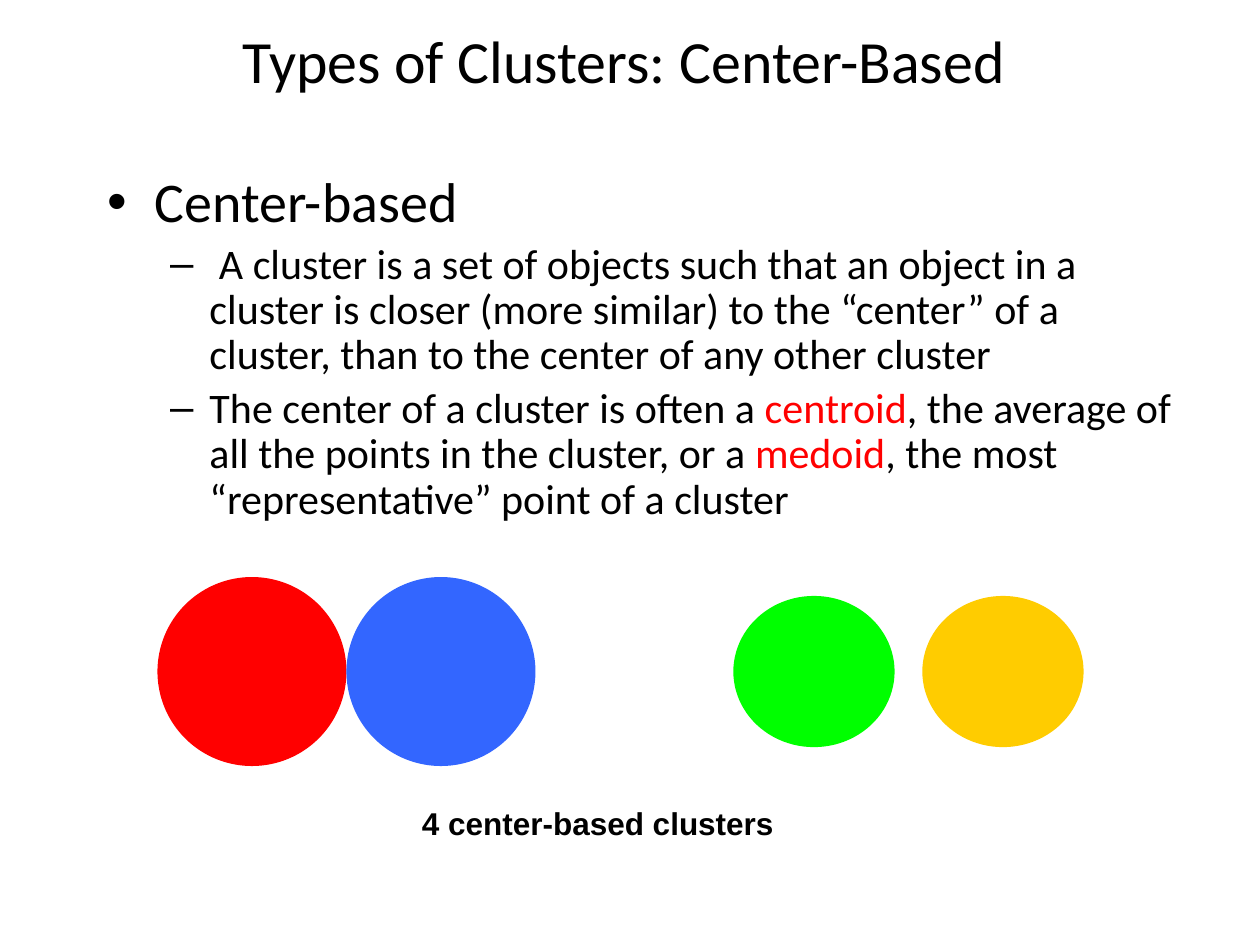
import pptx
import pptx.util
import pptx.dml.color
import pptx.enum.shapes
import pptx.enum.text

Inches = pptx.util.Inches
INK, RED = "000000", "FF0000"

TITLE = "Types of Clusters: Center-Based"
POINTS = [
    (0, 32, [("Center-based", INK)]),
    (1, 24, [(" A cluster is a set of objects such that an object in a cluster is "
              "closer (more similar) to the “center” of a cluster, than to the "
              "center of any other cluster", INK)]),
    (1, 24, [("The center of a cluster is often a ", INK),
             ("centroid", RED),
             (", the average of all the points in the cluster, or a ", INK),
             ("medoid", RED),
             (", the most “representative” point of a cluster", INK)]),
]
PAIRS = [
    (1.25, 1.5, 1.5, [RED, "3366FF"]),
    (5.82, 1.28, 1.2, ["00FF00", "FFCC00"]),
]
STEP, MIDDLE = 1.5, 5.33
CAPTION = "4 center-based clusters"


def color(code):
    return pptx.dml.color.RGBColor.from_string(code)


def write(para, text, size=24, font="Calibri", ink=INK, bold=None):
    run = para.add_run()
    run.text = text
    run.font.size = pptx.util.Pt(size)
    run.font.name = font
    run.font.bold = bold
    run.font.color.rgb = color(ink)


def place(shape, left, top, width, height):
    shape.left, shape.top = Inches(left), Inches(top)
    shape.width, shape.height = Inches(width), Inches(height)
    frame = shape.text_frame
    frame.word_wrap = True
    frame.auto_size = pptx.enum.text.MSO_AUTO_SIZE.NONE
    return frame


def main():
    deck = pptx.Presentation()
    deck.slide_width, deck.slide_height = Inches(10), Inches(7.5)
    slide = deck.slides.add_slide(deck.slide_layouts[1])
    title, body = slide.placeholders

    frame = place(title, 0.42, 0.17, 9.06, 0.6)
    write(frame.paragraphs[0], TITLE, size=34.2)

    frame = place(body, 0.75, 1.33, 8.66, 4.88)
    for i, (level, size, runs) in enumerate(POINTS):
        para = frame.add_paragraph() if i else frame.paragraphs[0]
        para.level = level
        para.line_spacing = 0.9
        for text, ink in runs:
            write(para, text, size=size, ink=ink)

    for left, width, height, fills in PAIRS:
        for i, fill in enumerate(fills):
            disc = slide.shapes.add_shape(
                pptx.enum.shapes.MSO_SHAPE.OVAL,
                Inches(left + i * STEP), Inches(MIDDLE - height / 2),
                Inches(width), Inches(height))
            disc.shadow.inherit = False
            disc.fill.solid()
            disc.fill.fore_color.rgb = color(fill)
            disc.line.fill.background()

    label = slide.shapes.add_textbox(0, 0, 0, 0)
    frame = place(label, 3.25, 6.33, 3.5, 0.4)
    write(frame.paragraphs[0], CAPTION, size=18, font="Arial", bold=True)

    deck.save("out.pptx")


if __name__ == "__main__":
    main()
